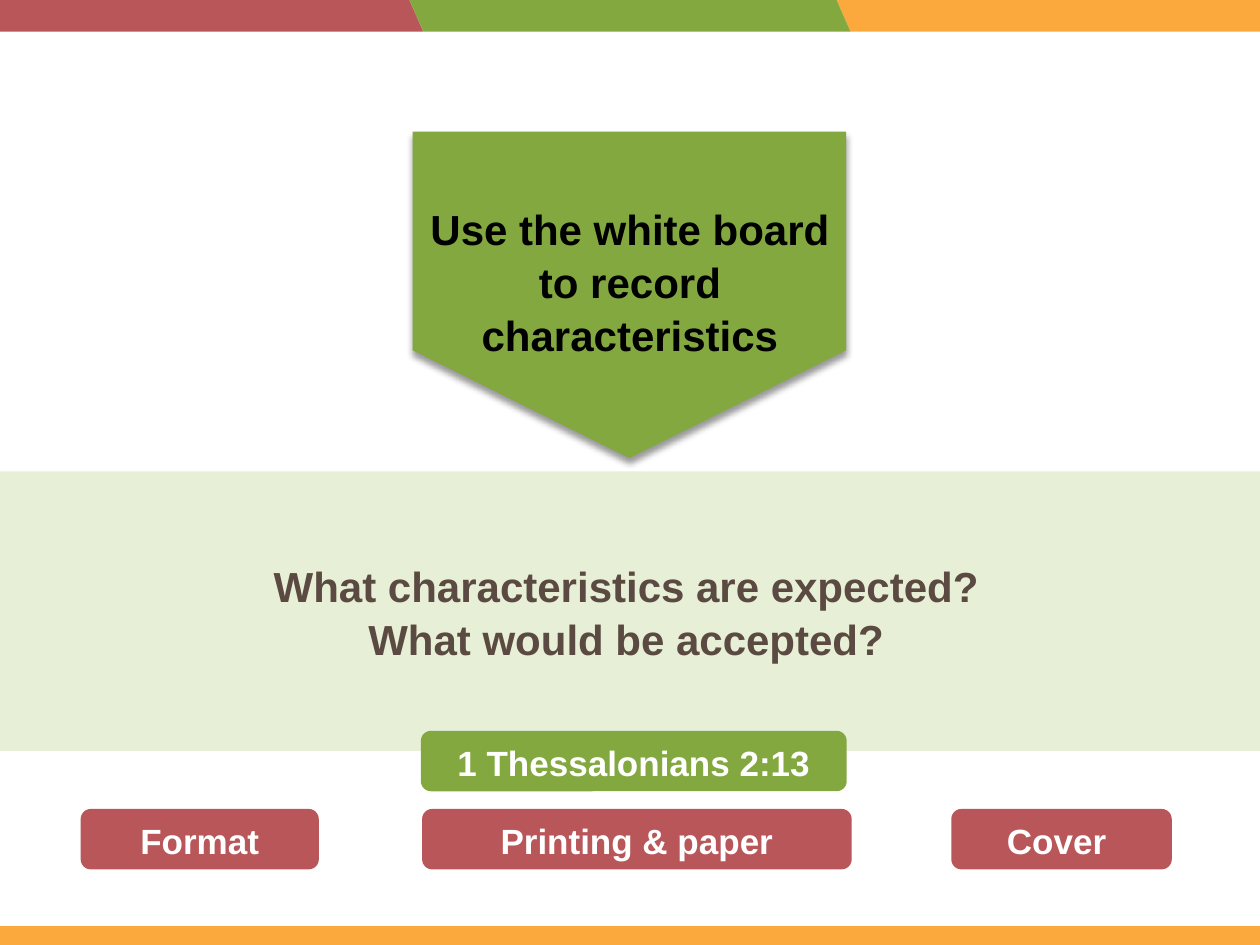
from pptx import Presentation
from pptx.dml.color import RGBColor
from pptx.enum.shapes import MSO_SHAPE as Shape
from pptx.enum.text import MSO_ANCHOR as Anchor, MSO_AUTO_SIZE as AutoSize, PP_ALIGN as Align
from pptx.oxml import parse_xml
from pptx.oxml.ns import nsdecls, qn
from pptx.util import Inches, Pt

RED, GREEN, ORANGE = "B95659", "83A83F", "FBA93D"
PALE_GREEN, BROWN, BLACK, WHITE = "E7F0D6", "5B4A42", "000000", "FFFFFF"


def rgb(value):
    return RGBColor.from_string(value)


class Board:
    """Holds the style and the current slide."""

    font = "Arial"
    line_spacing = 1.05

    def __init__(self, slide):
        self.shapes = slide.shapes

    def block(self, kind, left, top, width, height, fill, adjust=None):
        shape = self.shapes.add_shape(
            kind, Inches(left), Inches(top), Inches(width), Inches(height))
        shape.shadow.inherit = False
        shape.fill.solid()
        shape.fill.fore_color.rgb = rgb(fill)
        shape.line.fill.background()
        if adjust is not None:
            shape.adjustments[0] = adjust
        return shape

    def slanted_band(self, left, fill):
        band = self.block(Shape.PARALLELOGRAM, left, 0, 3.5, 0.25, fill, 0.44)
        band._element.spPr.xfrm.set("flipH", "1")

    def down_pointer(self, left, top, width, height, fill):
        pointer = self.block(Shape.PENTAGON, left, top, width, height, fill, 0.33)
        pointer.rotation = 90
        effects = pointer._element.spPr.find(qn("a:effectLst"))
        effects.append(parse_xml(
            f'<a:outerShdw {nsdecls("a")} blurRad="{Pt(4)}" dist="{Pt(3)}" '
            'dir="5400000" rotWithShape="0"><a:srgbClr val="000000">'
            '<a:alpha val="40000"/></a:srgbClr></a:outerShdw>'))

    def set_text(self, shape, text, size, color, anchor):
        frame = shape.text_frame
        frame.word_wrap = True
        frame.auto_size = AutoSize.SHAPE_TO_FIT_TEXT
        frame.vertical_anchor = anchor
        frame.text = text
        paragraph = frame.paragraphs[0]
        paragraph.alignment = Align.CENTER
        paragraph.line_spacing = self.line_spacing
        font = paragraph.font
        font.name, font.size, font.bold = self.font, Pt(size), True
        font.color.rgb = rgb(color)

    def caption(self, left, top, width, height, text, color, anchor):
        box = self.shapes.add_textbox(
            Inches(left), Inches(top), Inches(width), Inches(height))
        self.set_text(box, text, 24, color, anchor)

    def label(self, left, top, width, fill, text):
        pill = self.block(Shape.ROUNDED_RECTANGLE, left, top, width, 0.48, fill)
        self.set_text(pill, text, 20, WHITE, Anchor.MIDDLE)


def main():
    deck = Presentation()
    deck.slide_width, deck.slide_height = Inches(10), Inches(7.5)
    board = Board(deck.slides.add_slide(deck.slide_layouts[6]))

    # Coloured edges at top and bottom
    for left, fill in ((6.64, ORANGE), (-0.14, RED), (3.25, GREEN)):
        board.slanted_band(left, fill)
    board.block(Shape.RECTANGLE, 0, 7.35, 10, 0.15, ORANGE)

    # Instruction pointing down to the question panel
    board.block(Shape.RECTANGLE, 0, 3.74, 10, 2.22, PALE_GREEN)
    board.down_pointer(3.7, 0.62, 2.59, 3.44, GREEN)
    board.caption(3.28, 1.55, 3.44, 1.31,
                  "Use the white board to record characteristics", BLACK, Anchor.TOP)
    board.caption(2.05, 4.39, 5.84, 0.91,
                  "What characteristics are expected? What would be accepted?",
                  BROWN, Anchor.MIDDLE)

    # Bible reference and the three topics
    board.label(3.34, 5.8, 3.38, GREEN, "1 Thessalonians 2:13")
    for left, width, topic in ((0.64, 1.89, "Format"),
                               (3.35, 3.41, "Printing & paper"),
                               (7.55, 1.75, "Cover ")):
        board.label(left, 6.42, width, RED, topic)

    deck.save("out.pptx")


if __name__ == "__main__":
    main()
